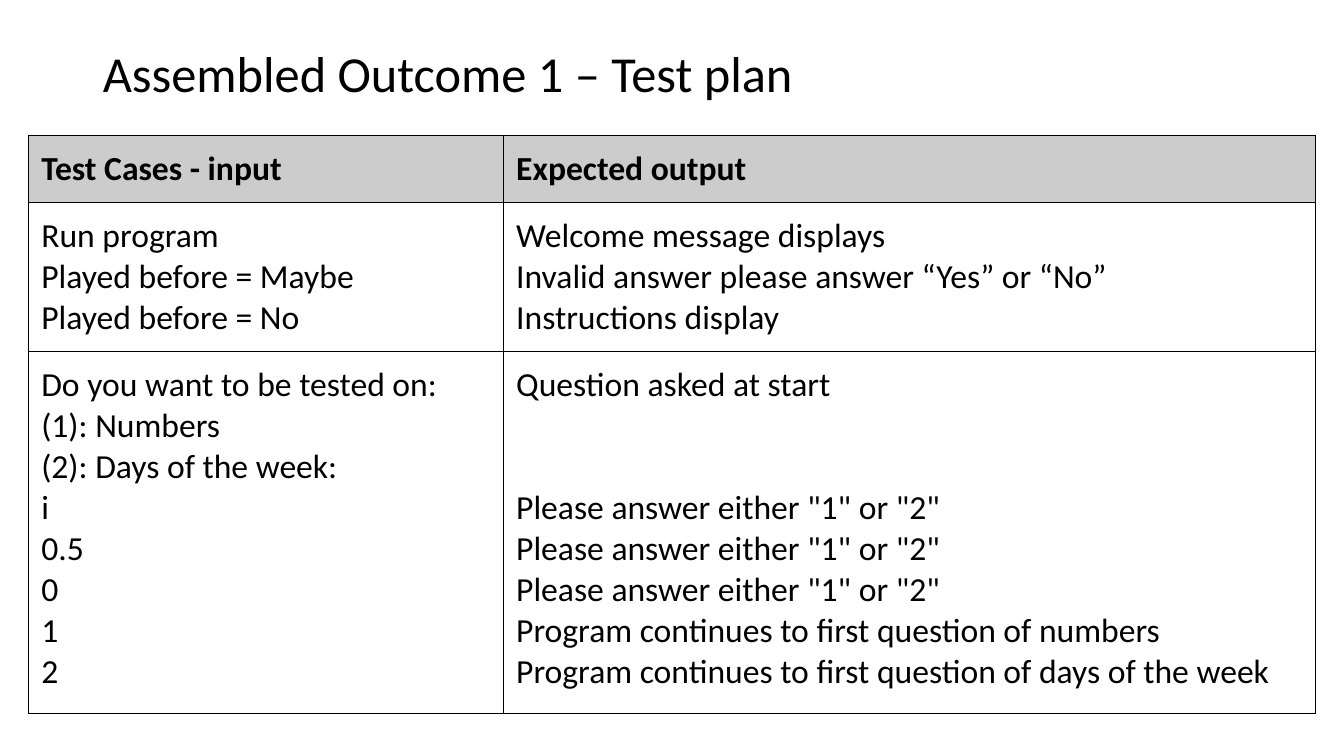
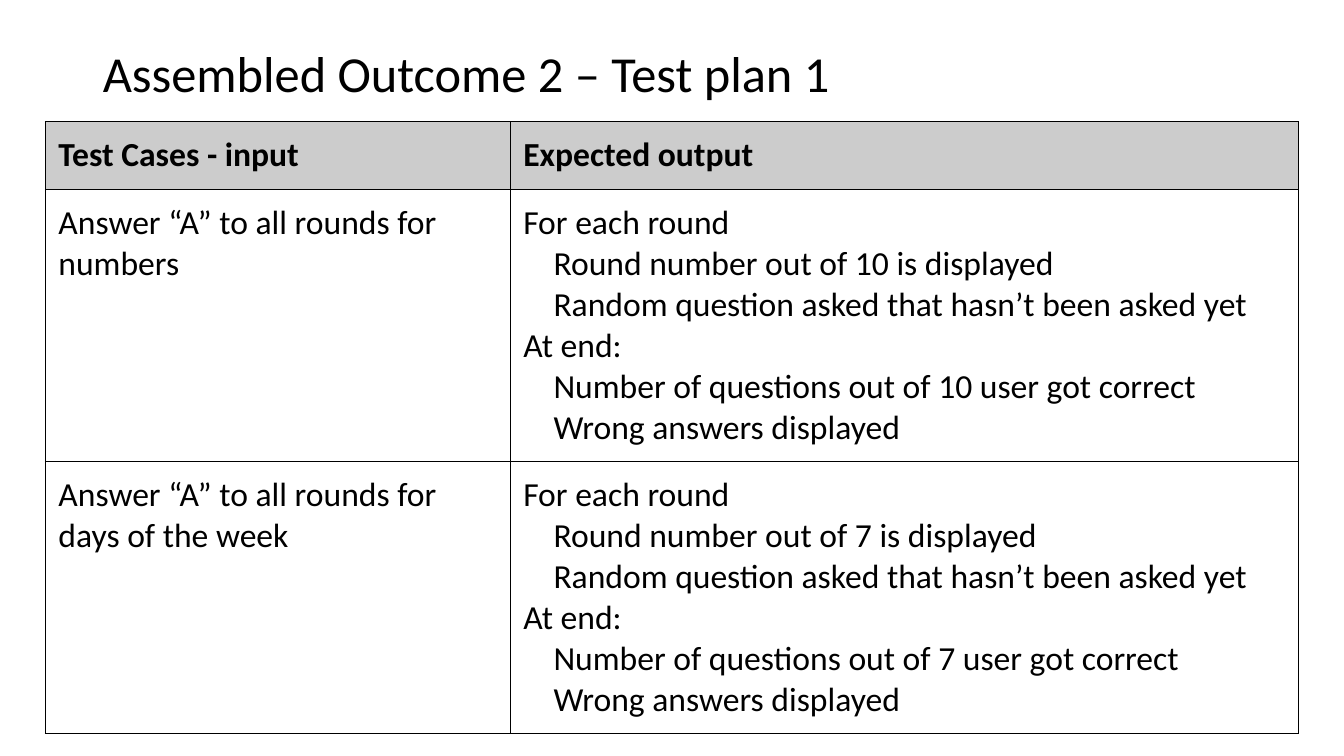
"""Build two test plan slides, each a title above a bordered table."""
from typing import NamedTuple

from lxml.etree import fromstring
from pptx import Presentation
from pptx.dml.color import RGBColor
from pptx.enum.text import MSO_ANCHOR, PP_ALIGN
from pptx.oxml.ns import nsdecls
from pptx.util import Inches, Pt

BLACK = RGBColor(0x00, 0x00, 0x00)
HEADER_GREY = RGBColor(0xCC, 0xCC, 0xCC)
FONT = "Calibri"
TITLE_SIZE = Pt(36)
TABLE_SIZE = Pt(24)
LINE_PITCH = Pt(29.3)
CELL_MARGIN = Inches(0.13)
BORDER_WIDTH = Pt(0.75)
TITLE_ONLY = 5
HEADER = ("Test Cases - input", "Expected output")


class Line(NamedTuple):
    """A line of cell text with its indent and the empty lines above it."""

    text: str
    indent: float = 0
    lines_above: int = 0


def style_font(font, size, bold=False):
    """Apply the shared typeface and colour to a font."""
    font.name = FONT
    font.size = size
    font.bold = bold
    font.color.rgb = BLACK


def add_title(slide, title):
    """Fill and place the title placeholder."""
    heading = slide.shapes.title
    heading.left, heading.top = Inches(0.92), Inches(0.44)
    heading.width, heading.height = Inches(11.5), Inches(0.64)
    frame = heading.text_frame
    frame.text = title
    frame.vertical_anchor = MSO_ANCHOR.MIDDLE
    paragraph = frame.paragraphs[0]
    paragraph.alignment = PP_ALIGN.LEFT
    paragraph.line_spacing = 0.9
    style_font(paragraph.runs[0].font, TITLE_SIZE)


def add_borders(cell):
    """Draw a thin black line on all four sides of a cell."""
    properties = cell._tc.get_or_add_tcPr()
    for position, side in enumerate("LRTB"):
        border = fromstring(
            f'<a:ln{side} {nsdecls("a")} w="{BORDER_WIDTH}"><a:solidFill>'
            f'<a:srgbClr val="{BLACK}"/></a:solidFill></a:ln{side}>'
        )
        properties.insert(position, border)


def fill_cell(cell, lines, is_header):
    """Write lines into a cell and format it as header or body."""
    cell.margin_left = cell.margin_right = CELL_MARGIN
    cell.margin_top = cell.margin_bottom = CELL_MARGIN
    if is_header:
        cell.fill.solid()
        cell.fill.fore_color.rgb = HEADER_GREY
    else:
        cell.fill.background()
    add_borders(cell)
    cell.text_frame.text = "\n".join(line.text for line in lines)
    for paragraph, line in zip(cell.text_frame.paragraphs, lines):
        style_font(paragraph.runs[0].font, TABLE_SIZE, is_header)
        if line.indent:
            paragraph._p.get_or_add_pPr().set("marL", str(Inches(line.indent)))
        if line.lines_above:
            paragraph.space_before = line.lines_above * LINE_PITCH


def add_test_table(slide, left, top, column_widths, row_heights, cases):
    """Add a table with the shared header above the given test cases."""
    rows = [[[Line(label)] for label in HEADER], *cases]
    table = slide.shapes.add_table(
        len(rows), len(HEADER), Inches(left), Inches(top),
        Inches(sum(column_widths)), Inches(sum(row_heights)),
    ).table
    table.first_row = table.horz_banding = False
    for column, width in zip(table.columns, column_widths):
        column.width = Inches(width)
    for row, height in zip(table.rows, row_heights):
        row.height = Inches(height)
    for row_index, row in enumerate(rows):
        for column_index, lines in enumerate(row):
            fill_cell(table.cell(row_index, column_index), lines, row_index == 0)


def add_plan(deck, title, **table_options):
    """Add one test plan slide."""
    slide = deck.slides.add_slide(deck.slide_layouts[TITLE_ONLY])
    add_title(slide, title)
    add_test_table(slide, **table_options)


def start_cases():
    """Return the test cases for starting the program."""
    invalid = 'Please answer either "1" or "2"'
    proceed = "Program continues to first question of "
    return [
        (
            [Line("Run program"), Line("Played before = Maybe"),
             Line("Played before = No")],
            [Line("Welcome message displays"),
             Line("Invalid answer please answer “Yes” or “No”"),
             Line("Instructions display")],
        ),
        (
            [Line("Do you want to be tested on:"), Line("(1): Numbers"),
             Line("(2): Days of the week:"),
             *(Line(answer) for answer in ("i", "0.5", "0", "1", "2"))],
            [Line("Question asked at start"), Line(invalid, lines_above=2),
             Line(invalid), Line(invalid), Line(proceed + "numbers"),
             Line(proceed + "days of the week")],
        ),
    ]


def round_case(topic, rounds):
    """Return the test case for playing all rounds of a topic."""
    indent = 0.3
    return (
        [Line(f"Answer “A” to all rounds for {topic}")],
        [
            Line("For each round"),
            Line(f"Round number out of {rounds} is displayed", indent),
            Line("Random question asked that hasn’t been asked yet", indent),
            Line("At end:"),
            Line(f"Number of questions out of {rounds} user got correct", indent),
            Line("Wrong answers displayed", indent),
        ],
    )


def main():
    """Build and save the presentation."""
    deck = Presentation()
    deck.slide_width, deck.slide_height = Inches(13.33), Inches(7.5)
    add_plan(
        deck, "Assembled Outcome 1 – Test plan", left=0.28, top=1.34,
        column_widths=(4.71, 8.06), row_heights=(0.67, 1.48, 3.59),
        cases=start_cases(),
    )
    add_plan(
        deck, "Assembled Outcome 2 – Test plan 1", left=0.45, top=1.21,
        column_widths=(4.61, 7.82), row_heights=(0.67, 2.7, 2.7),
        cases=[round_case("numbers", 10), round_case("days of the week", 7)],
    )
    deck.save("out.pptx")


if __name__ == "__main__":
    main()
